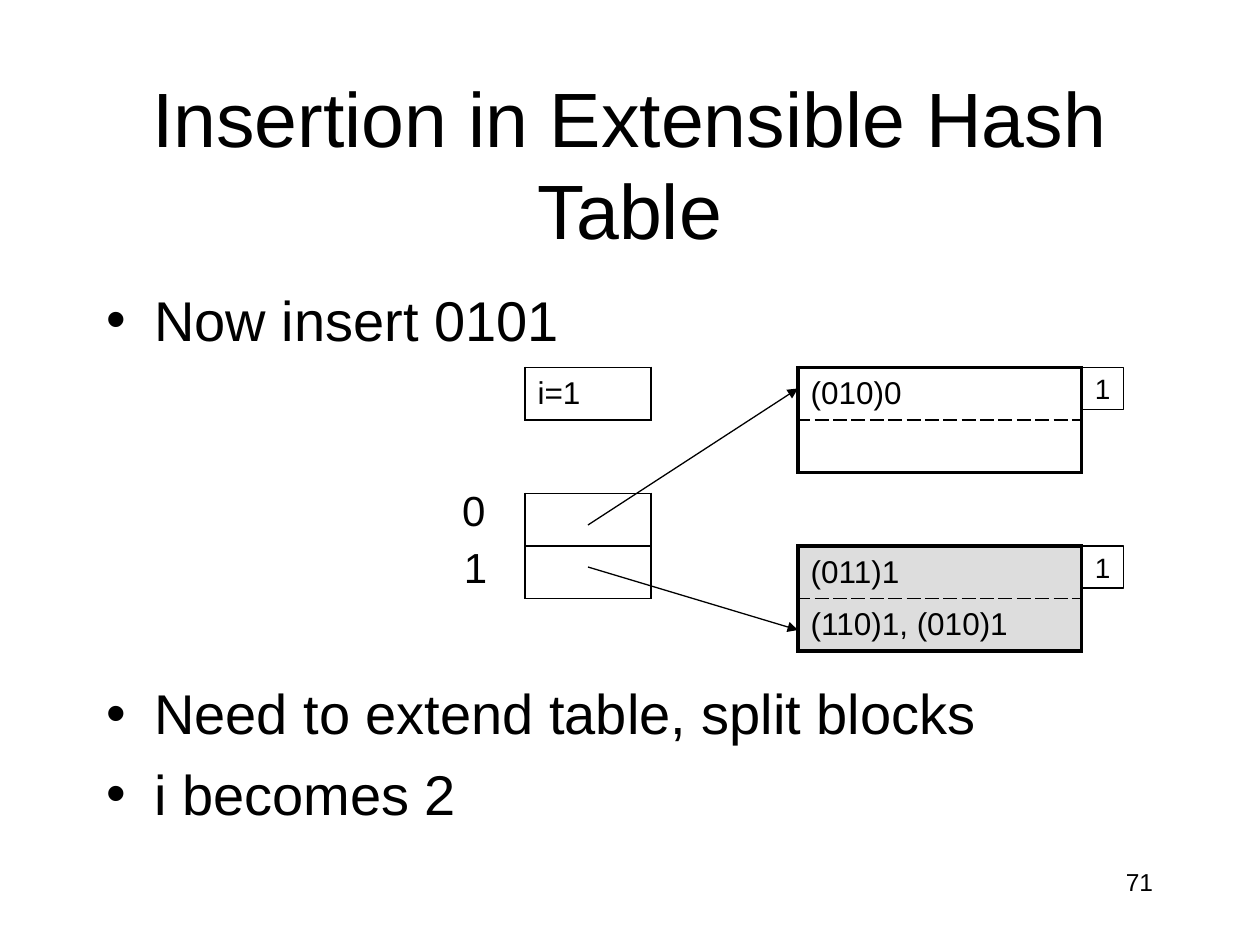
"""Build the slide on insertion in an extensible hash table."""
from dataclasses import dataclass

from lxml import etree
from pptx import Presentation
from pptx import util as u
from pptx.dml.color import RGBColor
from pptx.enum import shapes, text
from pptx.oxml import ns

BLACK = RGBColor(0x00, 0x00, 0x00)
GREY = RGBColor(0xDD, 0xDD, 0xDD)
FONT = "Arial"
ROW_HEIGHT = 30
DEPTH_SIDE = 24
LEFT, CENTER, RIGHT = text.PP_ALIGN.LEFT, text.PP_ALIGN.CENTER, text.PP_ALIGN.RIGHT
TOP, MIDDLE = text.MSO_ANCHOR.TOP, text.MSO_ANCHOR.MIDDLE


@dataclass(frozen=True)
class Grid:
    left: float
    top: float
    width: float
    rows: tuple[str, ...]
    outline: float = 1
    divider: str = "solid"
    fill: RGBColor | None = None


@dataclass(frozen=True)
class Label:
    wording: str
    left: float
    top: float
    width: float
    height: float
    size: float
    align: int = LEFT
    anchor: int = TOP
    wrap: bool = True


@dataclass(frozen=True)
class Pointer:
    start: tuple[float, float]
    end: tuple[float, float]


BLOCKS = (
    Grid(456, 210, 162, ("(010)0", ""), 2.25, "lgDash"),
    Grid(456, 312, 162, ("(011)1", "(110)1, (010)1"), 2.25, "lgDash", GREY),
)
DIRECTORY = (
    Grid(300, 282, 72, ("", "")),
    Grid(300, 210, 72, ("i=1",)),
)
POINTERS = (
    Pointer((336, 300), (456, 222)),
    Pointer((336, 324), (456, 360)),
)
LABELS = (
    Label("71", 516, 492, 150, 36, 14, RIGHT),
    Label("Insertion in Extensible Hash Table", 54, 48, 612, 90, 44, CENTER, MIDDLE),
    Label("0", 257, 273.6, 28, 36, 24, wrap=False),
    Label("1", 258, 306, 28, 36, 24, wrap=False),
)
BULLETS = (("Now insert 0101", 0), ("Need to extend table, split blocks", 186.4), ("i becomes 2", 7.6))


def write(paragraph, wording: str, *, size: float, align: int = LEFT, before: float = 0) -> None:
    paragraph.text = wording
    paragraph.alignment = align
    paragraph.space_before = u.Pt(before)
    paragraph.font.name = FONT
    paragraph.font.size = u.Pt(size)
    paragraph.font.color.rgb = BLACK


def add_label(slide, label: Label) -> None:
    box = slide.shapes.add_textbox(*map(u.Pt, (label.left, label.top, label.width, label.height)))
    frame = box.text_frame
    frame.word_wrap = label.wrap
    frame.vertical_anchor = label.anchor
    write(frame.paragraphs[0], label.wording, size=label.size, align=label.align)


def add_bullets(slide) -> None:
    frame = slide.shapes.add_textbox(*map(u.Pt, (54, 156, 612, 324))).text_frame
    frame.word_wrap = True
    frame.margin_top = u.Pt(7.2)
    for number, (wording, before) in enumerate(BULLETS):
        paragraph = frame.add_paragraph() if number else frame.paragraphs[0]
        properties = paragraph._p.get_or_add_pPr()
        properties.set("marL", str(u.Pt(27)))
        properties.set("indent", str(u.Pt(-27)))
        etree.SubElement(properties, ns.qn("a:buFont"), typeface=FONT)
        etree.SubElement(properties, ns.qn("a:buChar"), char="•")
        write(paragraph, wording, size=32, before=before)


def add_border(cell, side: str, width: float, dash: str) -> None:
    line = etree.SubElement(cell._tc.get_or_add_tcPr(), ns.qn(f"a:ln{side}"), w=str(u.Pt(width)))
    fill = etree.SubElement(line, ns.qn("a:solidFill"))
    etree.SubElement(fill, ns.qn("a:srgbClr"), val=str(BLACK))
    etree.SubElement(line, ns.qn("a:prstDash"), val=dash)


def add_grid(slide, grid: Grid) -> None:
    count = len(grid.rows)
    area = (grid.left, grid.top, grid.width, ROW_HEIGHT * count)
    table = slide.shapes.add_table(count, 1, *map(u.Pt, area)).table
    table.first_row = table.horz_banding = False
    outer, inner = (grid.outline, "solid"), (1, grid.divider)
    for index, wording in enumerate(grid.rows):
        cell = table.cell(index, 0)
        cell.vertical_anchor = MIDDLE
        add_border(cell, "L", *outer)
        add_border(cell, "R", *outer)
        add_border(cell, "T", *(inner if index else outer))
        add_border(cell, "B", *(outer if index == count - 1 else inner))
        if grid.fill is None:
            cell.fill.background()
        else:
            cell.fill.solid()
            cell.fill.fore_color.rgb = grid.fill
        write(cell.text_frame.paragraphs[0], wording, size=18)


def add_pointer(slide, pointer: Pointer) -> None:
    ends = map(u.Pt, pointer.start + pointer.end)
    arrow = slide.shapes.add_connector(shapes.MSO_CONNECTOR.STRAIGHT, *ends)
    arrow.line.color.rgb = BLACK
    arrow.line.width = u.Pt(0.75)
    etree.SubElement(arrow.line._get_or_add_ln(), ns.qn("a:tailEnd"), type="triangle")
    etree.SubElement(arrow._element.spPr, ns.qn("a:effectLst"))


def add_depth(slide, block: Grid) -> None:
    area = (block.left + block.width, block.top, DEPTH_SIDE, DEPTH_SIDE)
    depth = slide.shapes.add_shape(shapes.MSO_SHAPE.RECTANGLE, *map(u.Pt, area))
    depth.shadow.inherit = False
    depth.fill.background()
    depth.line.color.rgb = BLACK
    depth.line.width = u.Pt(0.75)
    depth.text_frame.word_wrap = False
    depth.text_frame.vertical_anchor = MIDDLE
    write(depth.text_frame.paragraphs[0], "1", size=16, align=CENTER)


def main() -> None:
    deck = Presentation()
    deck.slide_width, deck.slide_height = u.Pt(720), u.Pt(540)
    slide = deck.slides.add_slide(deck.slide_layouts[6])
    for label in LABELS:
        add_label(slide, label)
    add_bullets(slide)
    for grid in BLOCKS + DIRECTORY:
        add_grid(slide, grid)
    for pointer in POINTERS:
        add_pointer(slide, pointer)
    for block in BLOCKS:
        add_depth(slide, block)
    deck.save("out.pptx")


if __name__ == "__main__":
    main()
